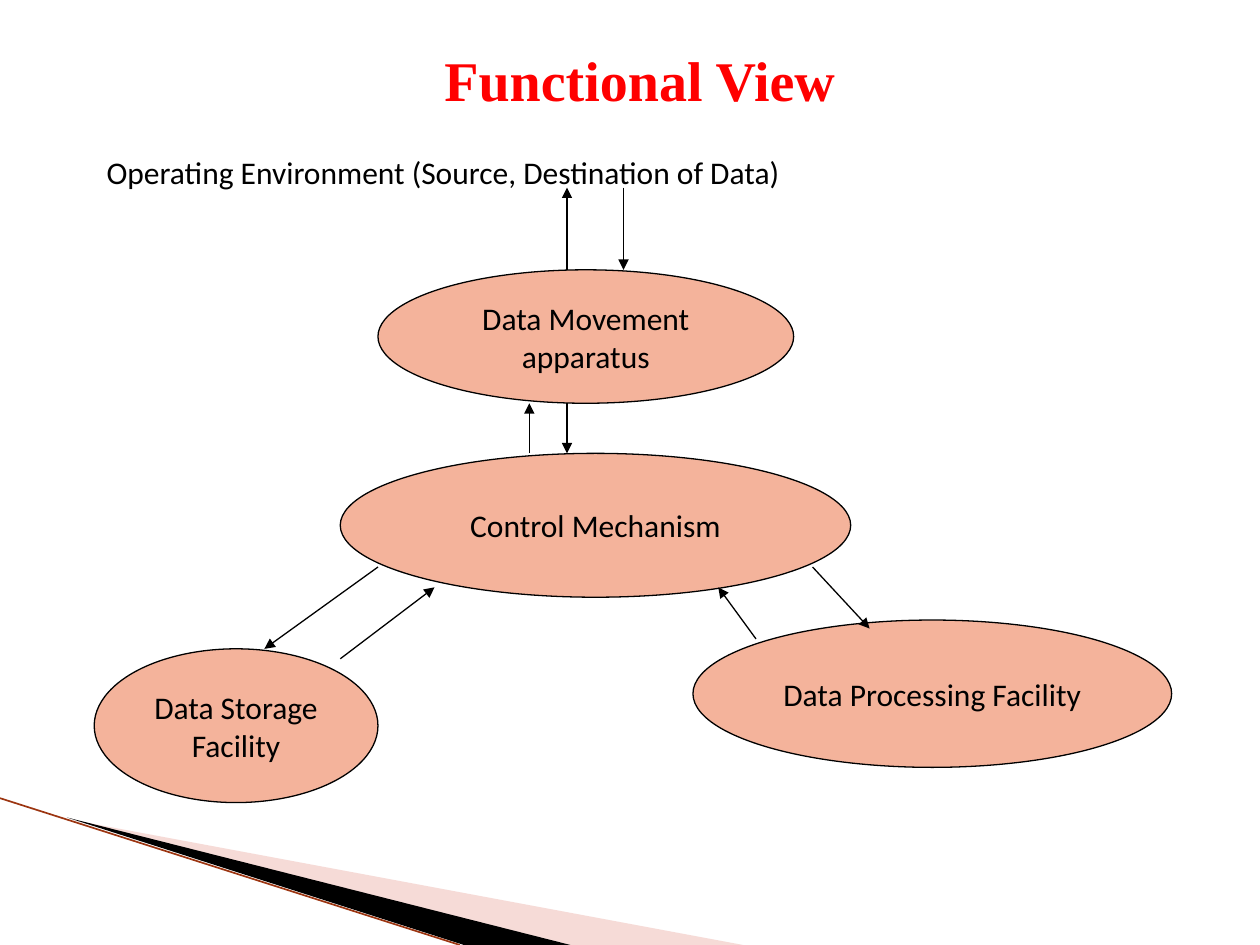
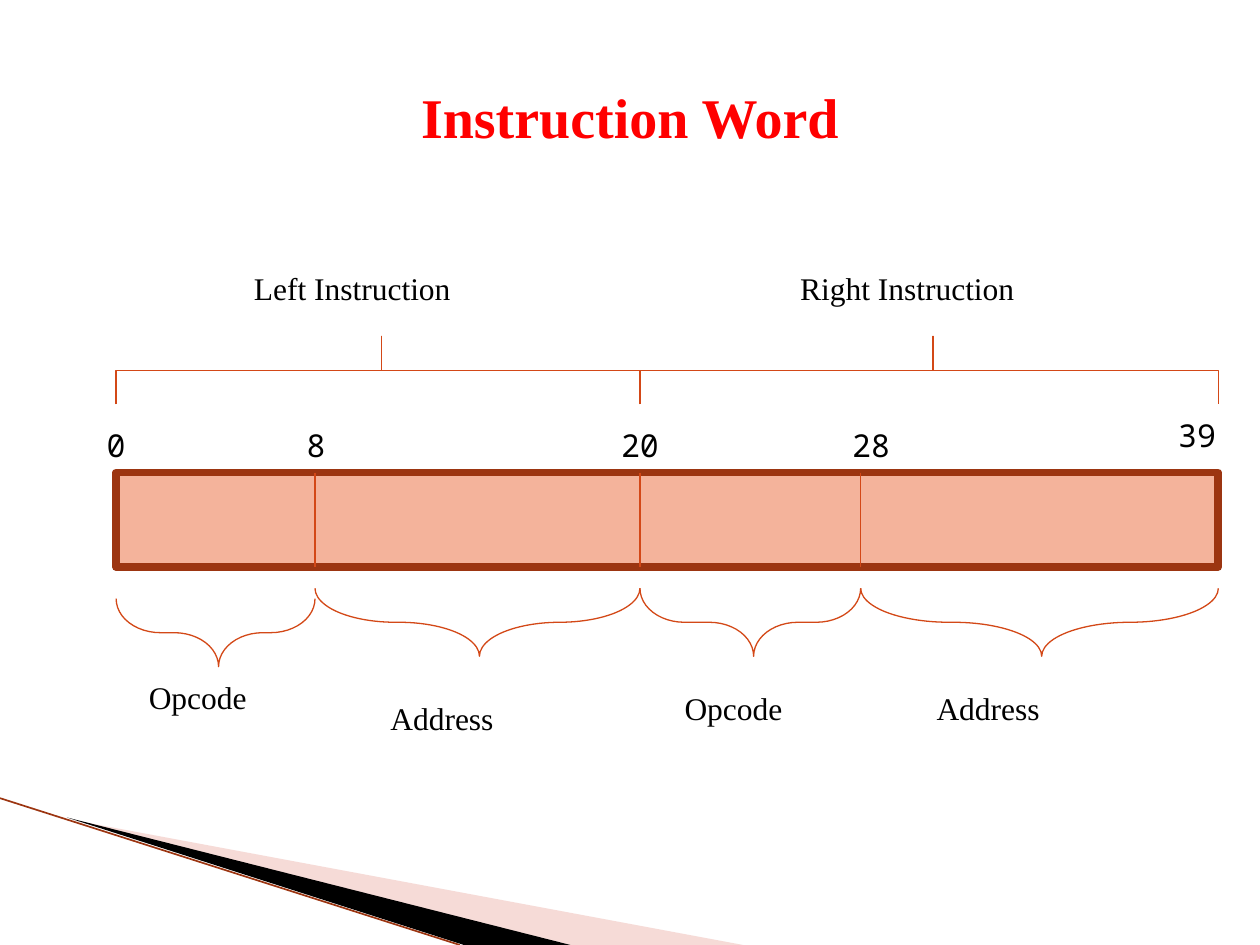
from dataclasses import dataclass
from itertools import pairwise
from typing import NamedTuple

from lxml.etree import SubElement
from pptx import Presentation
from pptx.dml.color import RGBColor
from pptx.enum.shapes import MSO_CONNECTOR, MSO_SHAPE
from pptx.enum.text import MSO_ANCHOR, PP_ALIGN
from pptx.oxml.ns import qn
from pptx.util import Cm, Pt


@dataclass(frozen=True)
class Theme:
    ink: str = "000000"
    red: str = "FF0000"
    peach: str = "F4B39B"
    rust: str = "D34817"
    brown: str = "9C3511"
    pink: str = "E9A59D"
    serif: str = "Times New Roman"
    sans: str = "Calibri"
    mono: str = "Noto Sans Mono"
    head: float = 32
    body: float = 18
    thin: float = 0.75
    edge: float = 0.95
    thick: float = 4.33


class Box(NamedTuple):
    left: float
    top: float
    width: float
    height: float


class Node(NamedTuple):
    text: str
    box: Box


class Line(NamedTuple):
    x1: float
    y1: float
    x2: float
    y2: float


class Label(NamedTuple):
    text: str
    left: float
    top: float
    width: float


class Brace(NamedTuple):
    left: float
    right: float
    top: float
    turn: int
    curve: float
    point: float


THEME = Theme()
WIDTH, HEIGHT = 25.4, 19.05
BRACE_DEPTH = 1.37
LABEL_HEIGHT = 1.02

NODES = [
    Node("Data Movement\napparatus", Box(7.62, 5.44, 8.38, 2.69)),
    Node("Control Mechanism", Box(6.86, 9.14, 10.29, 2.9)),
    Node("Data Storage\nFacility", Box(1.9, 13.08, 5.72, 3.1)),
    Node("Data Processing Facility", Box(13.97, 12.5, 9.65, 2.97)),
]
ARROWS = [
    Line(7.62, 11.43, 5.33, 13.08),
    Line(6.86, 13.28, 8.76, 11.84),
    Line(15.24, 12.88, 14.48, 11.84),
    Line(16.38, 11.43, 17.53, 12.67),
    Line(10.67, 9.14, 10.67, 8.13),
    Line(11.43, 8.13, 11.43, 9.14),
    Line(11.43, 5.44, 11.43, 3.78),
    Line(12.57, 3.78, 12.57, 5.44),
]

WORD = Box(2.34, 9.53, 22.22, 1.9)
EDGES = [2.34, 6.35, 12.9, 17.35, 24.56]
BITS = [
    Label("0", 1.9, 8.46, 0.85),
    Label("8", 5.93, 8.46, 0.85),
    Label("20", 12.27, 8.46, 1.48),
    Label("28", 16.93, 8.46, 1.69),
    Label("39", 23.5, 8.26, 1.48),
]
PARTS = [
    Label("Left Instruction", 4.87, 5.29, 7.2),
    Label("Right Instruction", 15.88, 5.29, 7.2),
    Label("Opcode", 2.75, 13.55, 4.87),
    Label("Address", 7.62, 13.97, 4.87),
    Label("Opcode", 13.55, 13.76, 4.87),
    Label("Address", 18.63, 13.76, 4.87),
]


def tint(text: str) -> RGBColor:
    return RGBColor.from_string(text)


def write(frame, text: str, *, font: str, size: float = THEME.body,
          color: str = THEME.ink, bold: bool = False, align=PP_ALIGN.LEFT,
          anchor=MSO_ANCHOR.TOP, wrap: bool = True) -> None:
    frame.word_wrap = wrap
    frame.vertical_anchor = anchor
    frame.text = text
    for para in frame.paragraphs:
        para.alignment = align
        for run in para.runs:
            run.font.name = font
            run.font.size = Pt(size)
            run.font.bold = bold
            run.font.color.rgb = tint(color)


def paint(shape, fill: str | None, line: str | None = None,
          weight: float = THEME.thin) -> None:
    shape.shadow.inherit = False
    if fill:
        shape.fill.solid()
        shape.fill.fore_color.rgb = tint(fill)
    else:
        shape.fill.background()
    if line:
        shape.line.color.rgb = tint(line)
        shape.line.width = Pt(weight)
    else:
        shape.line.fill.background()


def add_box(slide, kind, box: Box):
    return slide.shapes.add_shape(kind, *map(Cm, box))


def draw_line(slide, line: Line, color: str, weight: float = THEME.thin,
              arrow: bool = False) -> None:
    link = slide.shapes.add_connector(MSO_CONNECTOR.STRAIGHT, *map(Cm, line))
    link.line.color.rgb = tint(color)
    link.line.width = Pt(weight)
    if arrow:
        SubElement(link.line._get_or_add_ln(), qn("a:tailEnd"), type="triangle")
    SubElement(link.element.spPr, qn("a:effectLst"))


def draw_wedge(slide, points: list[tuple[float, float]], fill: str,
               alpha: int = 100) -> None:
    first, *rest = [(Cm(x), Cm(y)) for x, y in points]
    form = slide.shapes.build_freeform(*first)
    form.add_line_segments(rest, close=True)
    wedge = form.convert_to_shape()
    paint(wedge, fill)
    if alpha < 100:
        color = wedge.element.spPr.find(".//" + qn("a:srgbClr"))
        SubElement(color, qn("a:alpha"), val=str(alpha * 1000))


def draw_node(slide, node: Node) -> None:
    oval = add_box(slide, MSO_SHAPE.OVAL, node.box)
    paint(oval, THEME.peach, THEME.ink)
    write(oval.text_frame, node.text, font=THEME.sans, align=PP_ALIGN.CENTER,
          anchor=MSO_ANCHOR.MIDDLE, wrap=False)


def draw_label(slide, label: Label, font: str) -> None:
    box = Box(label.left, label.top, label.width, LABEL_HEIGHT)
    area = slide.shapes.add_textbox(*map(Cm, box))
    write(area.text_frame, label.text, font=font)


def draw_brace(slide, brace: Brace) -> None:
    span = brace.right - brace.left
    left = (brace.left + brace.right - BRACE_DEPTH) / 2
    top = brace.top + (BRACE_DEPTH - span) / 2
    shape = add_box(slide, MSO_SHAPE.RIGHT_BRACE, Box(left, top, BRACE_DEPTH, span))
    shape.rotation = brace.turn
    shape.adjustments[0] = brace.curve
    shape.adjustments[1] = brace.point
    paint(shape, None, THEME.rust)


def add_slide(deck, text: str, left: float, top: float):
    slide = deck.slides.add_slide(deck.slide_layouts[5])
    title = slide.shapes.title
    title.left, title.top = Cm(left), Cm(top)
    title.width, title.height = Cm(22.86), Cm(3.18)
    write(title.text_frame, text, font=THEME.serif, size=THEME.head,
          color=THEME.red, bold=True, align=PP_ALIGN.CENTER,
          anchor=MSO_ANCHOR.MIDDLE)
    draw_wedge(slide, [(1.4, 16.52), (14.98, HEIGHT), (11.5, HEIGHT)],
               THEME.pink, alpha=40)
    draw_wedge(slide, [(1.35, 16.48), (11.5, HEIGHT), (9.35, HEIGHT)], THEME.ink)
    draw_line(slide, Line(0, 16.09, 9.27, HEIGHT), THEME.brown, THEME.edge)
    return slide


def build_view(deck) -> None:
    slide = add_slide(deck, "Functional View", 1.47, 0)
    for node in NODES:
        draw_node(slide, node)
    for arrow in ARROWS:
        draw_line(slide, arrow, THEME.ink, arrow=True)
    draw_label(slide, Label("Operating Environment (Source, Destination of Data)",
                            1.9, 2.97, 22.86), THEME.sans)


def build_word(deck) -> None:
    slide = add_slide(deck, "Instruction Word", 1.27, 0.76)
    bar = add_box(slide, MSO_SHAPE.RECTANGLE, WORD)
    paint(bar, THEME.peach, THEME.brown, THEME.thick)
    for edge in EDGES[1:-1]:
        draw_line(slide, Line(edge, WORD.top, edge, WORD.top + WORD.height),
                  THEME.rust)
    for bit in BITS:
        draw_label(slide, bit, THEME.mono)
    for part in PARTS:
        draw_label(slide, part, THEME.serif)
    for left, right in pairwise(EDGES[::2]):
        draw_brace(slide, Brace(left, right, 6.78, 270, 0, 0.507))
    for index, (left, right) in enumerate(pairwise(EDGES)):
        top = 11.86 if index else 12.07
        curve, point = (1.897, 0.494) if index % 2 else (0.652, 0.485)
        draw_brace(slide, Brace(left, right, top, 90, curve, point))


def main() -> None:
    deck = Presentation()
    deck.slide_width, deck.slide_height = Cm(WIDTH), Cm(HEIGHT)
    build_view(deck)
    build_word(deck)
    deck.save("out.pptx")


if __name__ == "__main__":
    main()
